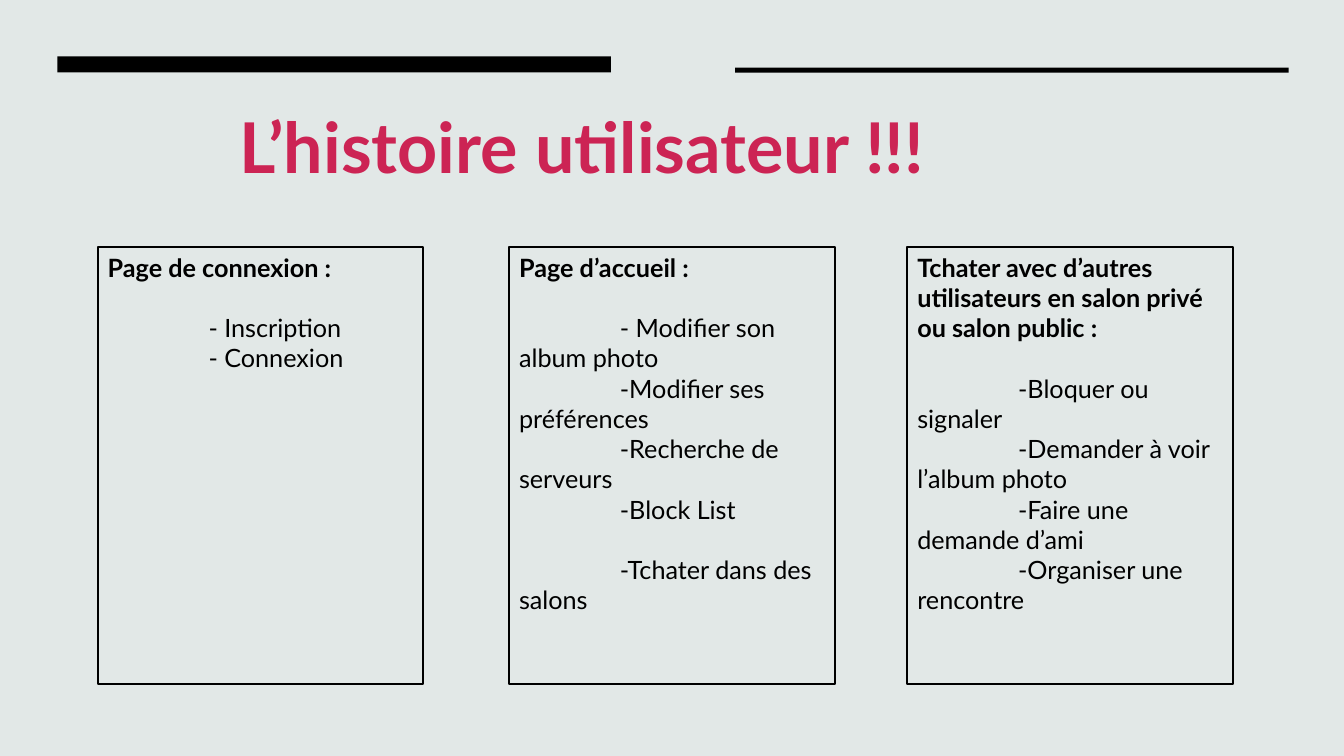
from lxml.etree import SubElement
from pptx import Presentation
from pptx.dml.color import RGBColor
from pptx.enum.shapes import MSO_SHAPE
from pptx.enum.text import MSO_ANCHOR as Anchor, MSO_AUTO_SIZE as AutoSize, PP_ALIGN as Align
from pptx.oxml.ns import qn
from pptx.util import Inches, Pt

FONT = "Lato"
BLACK = "000000"
BACKGROUND = "E2E8E7"
PINK = "CC2454"
BLANK_LINE = 21.6  # height of one 18 pt line

SLIDE_WIDTH, SLIDE_HEIGHT = 13.33, 7.5
CARD_TOP, CARD_WIDTH, CARD_HEIGHT = 2.45, 3.23, 4.34

# Left edge, heading, then (item, space before in points)
CARDS = [
    (0.97, "Page de connexion :", [
        ("- Inscription", BLANK_LINE),
        ("- Connexion", 0),
    ]),
    (5.05, "Page d’accueil :", [
        ("- Modifier son album photo", BLANK_LINE),
        ("-Modifier ses préférences", 0),
        ("-Recherche de serveurs", 0),
        ("-Block List", 0),
        ("-Tchater dans des salons", BLANK_LINE),
    ]),
    (9, "Tchater avec d’autres utilisateurs en salon privé ou salon public :", [
        ("-Bloquer ou signaler", BLANK_LINE),
        ("-Demander à voir l’album photo", 0),
        ("-Faire une demande d’ami", 0),
        ("-Organiser une rencontre", 0),
    ]),
]


def color(value):
    return RGBColor.from_string(value)


def add_tab_stop(paragraph, position):
    tabs = SubElement(paragraph._p.get_or_add_pPr(), qn("a:tabLst"))
    SubElement(tabs, qn("a:tab"), pos=str(Inches(position)), algn="l")


def write(paragraph, text, size=18, fill=BLACK, bold=False, align=Align.LEFT,
          before=0, line_spacing=1.0, tab=None):
    paragraph.alignment = align
    paragraph.space_before = Pt(before)
    paragraph.line_spacing = line_spacing
    if tab:
        add_tab_stop(paragraph, tab)
    run = paragraph.add_run()
    run.text = text
    run.font.name = FONT
    run.font.size = Pt(size)
    run.font.bold = bold
    run.font.color.rgb = color(fill)


def add_rectangle(slide, left, top, width, height, fill=None, line=None):
    shape = slide.shapes.add_shape(MSO_SHAPE.RECTANGLE, Inches(left), Inches(top),
                                   Inches(width), Inches(height))
    shape.shadow.inherit = False
    if fill:
        shape.fill.solid()
        shape.fill.fore_color.rgb = color(fill)
    else:
        shape.fill.background()
    if line:
        shape.line.color.rgb = color(line)
        shape.line.width = Pt(1.5)
    else:
        shape.line.fill.background()
    return shape


def add_backdrop(slide):
    slide.background.fill.solid()
    slide.background.fill.fore_color.rgb = color(BACKGROUND)
    backdrop = add_rectangle(slide, 0, 0, SLIDE_WIDTH, SLIDE_HEIGHT, fill=BACKGROUND)
    # Send the panel behind the title
    slide.shapes.title.element.addprevious(backdrop.element)


def add_title(slide, text):
    title = slide.shapes.title
    title.left, title.top = Inches(0.57), Inches(1.07)
    title.width, title.height = Inches(10.57), Inches(0.93)
    frame = title.text_frame
    frame.word_wrap = True
    frame.auto_size = AutoSize.NONE
    frame.vertical_anchor = Anchor.TOP
    write(frame.paragraphs[0], text, size=50, fill=PINK, bold=True,
          align=Align.CENTER, line_spacing=0.9)


def add_card(slide, left, heading, items):
    card = add_rectangle(slide, left, CARD_TOP, CARD_WIDTH, CARD_HEIGHT, line=BLACK)
    frame = card.text_frame
    frame.word_wrap = True
    frame.vertical_anchor = Anchor.TOP
    write(frame.paragraphs[0], heading, bold=True)
    for item, before in items:
        write(frame.add_paragraph(), "\t" + item, before=before, tab=1)


def main():
    presentation = Presentation()
    presentation.slide_width = Inches(SLIDE_WIDTH)
    presentation.slide_height = Inches(SLIDE_HEIGHT)
    slide = presentation.slides.add_slide(presentation.slide_layouts[5])

    add_backdrop(slide)
    add_title(slide, "L’histoire utilisateur !!! ")

    # Thick and thin bars above the title
    add_rectangle(slide, 0.57, 0.56, 5.49, 0.16, fill=BLACK)
    add_rectangle(slide, 7.29, 0.67, 5.49, 0.05, fill=BLACK)

    # One card per page of the application
    for left, heading, items in CARDS:
        add_card(slide, left, heading, items)

    presentation.save("out.pptx")


if __name__ == "__main__":
    main()
